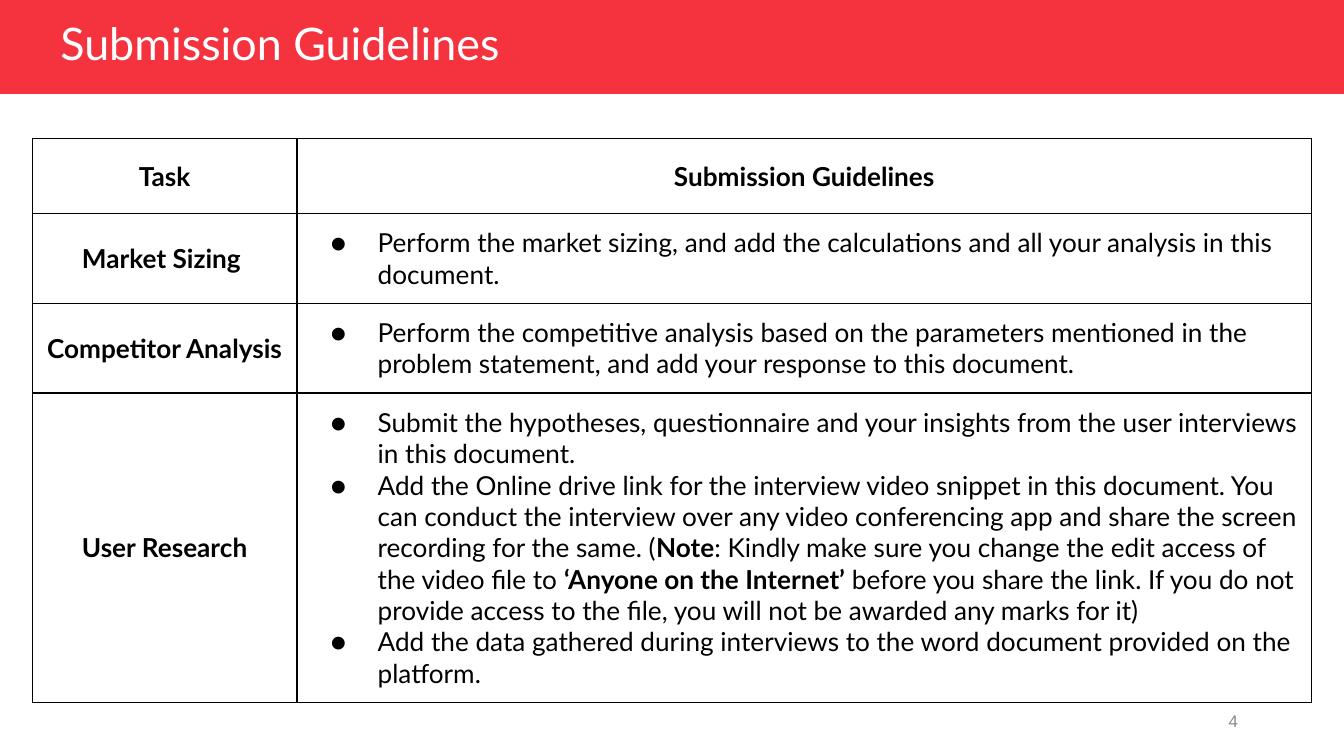
import dataclasses
import typing

import lxml.etree
import pptx
import pptx.dml.color
import pptx.enum.shapes
import pptx.enum.text
import pptx.oxml.ns
import pptx.util

ALIGN = pptx.enum.text.PP_ALIGN
ANCHOR = pptx.enum.text.MSO_ANCHOR
INCH = pptx.util.Inches
qn = pptx.oxml.ns.qn


@dataclasses.dataclass(frozen=True)
class Theme:
    red: str = "F5333F"
    white: str = "FFFFFF"
    black: str = "000000"
    gray: str = "888888"
    font: str = "Lato"
    number_font: str = "Arial"
    title_size: float = 24
    table_size: float = 14
    number_size: float = 9
    border: float = 0.75
    padding: float = 0.1
    indent: float = 0.5
    hanging: float = 0.35


class Box(typing.NamedTuple):
    left: float
    top: float
    width: float
    height: float

    def place(self) -> tuple[int, int, int, int]:
        return (INCH(self.left * WIDTH), INCH(self.top * HEIGHT),
                INCH(self.width * WIDTH), INCH(self.height * HEIGHT))


class Task(typing.NamedTuple):
    name: str
    guidelines: list[str]


THEME = Theme()
WIDTH = 10
HEIGHT = WIDTH * 9 / 16
BOLD = "**"
TASKS = [
    Task("Market Sizing ", [
        "Perform the market sizing, and add the calculations and all your analysis in this document.",
    ]),
    Task("Competitor Analysis", [
        "Perform the competitive analysis based on the parameters mentioned in the problem "
        "statement, and add your response to this document.",
    ]),
    Task("User Research", [
        "Submit the hypotheses, questionnaire and your insights from the user interviews in this document.",
        "Add the Online drive link for the interview video snippet in this document. You can conduct "
        "the interview over any video conferencing app and share the screen recording for the same. "
        "(**Note**: Kindly make sure you change the edit access of the video file to "
        "**‘Anyone on the Internet’** before you share the link. If you do not provide access to the "
        "file, you will not be awarded any marks for it)",
        "Add the data gathered during interviews to the word document provided on the platform.",
    ]),
]
COLUMNS = (1.97, 7.55)
ROW_HEIGHT = 0.56
BAR = Box(0, 0, 1, 0.7 / HEIGHT)
TITLE = Box(0.035, 0.13 / HEIGHT, 0.409, 0.42 / HEIGHT)
NUMBER = Box(0.706, 5.21 / HEIGHT, 0.225, 0.3 / HEIGHT)
TABLE = Box(0.024, 1.03 / HEIGHT, sum(COLUMNS) / WIDTH,
            ROW_HEIGHT * (len(TASKS) + 1) / HEIGHT)


def rgb(color: str) -> pptx.dml.color.RGBColor:
    return pptx.dml.color.RGBColor.from_string(color)


def style(r, size: float, color: str, font: str = THEME.font, bold: bool = False) -> None:
    r.font.size = pptx.util.Pt(size)
    r.font.name = font
    r.font.color.rgb = rgb(color)
    r.font.bold = bold


def add_bar(s) -> None:
    sp = s.shapes.add_shape(pptx.enum.shapes.MSO_SHAPE.RECTANGLE, *BAR.place())
    sp.shadow.inherit = False
    sp.fill.solid()
    sp.fill.fore_color.rgb = rgb(THEME.red)
    sp.line.fill.background()
    sp.element.getparent().insert(2, sp.element)


def add_title(s, text: str) -> None:
    sp = s.shapes.title
    sp.left, sp.top, sp.width, sp.height = TITLE.place()
    tf = sp.text_frame
    tf.text = text
    tf.auto_size = pptx.enum.text.MSO_AUTO_SIZE.NONE
    tf.vertical_anchor = ANCHOR.MIDDLE
    p = tf.paragraphs[0]
    p.alignment = ALIGN.LEFT
    p.line_spacing = 0.9
    style(p.runs[0], THEME.title_size, THEME.white)


def add_number(s, text: str) -> None:
    tf = s.shapes.add_textbox(*NUMBER.place()).text_frame
    tf.word_wrap = True
    tf.text = text
    tf.vertical_anchor = ANCHOR.MIDDLE
    p = tf.paragraphs[0]
    p.alignment = ALIGN.RIGHT
    style(p.runs[0], THEME.number_size, THEME.gray, THEME.number_font)


def add_bullet(p) -> None:
    pPr = p._p.get_or_add_pPr()
    pPr.set("marL", str(INCH(THEME.indent)))
    pPr.set("indent", str(-INCH(THEME.hanging)))
    color = lxml.etree.SubElement(pPr, qn("a:buClr"))
    lxml.etree.SubElement(color, qn("a:srgbClr"), val=THEME.black)
    lxml.etree.SubElement(pPr, qn("a:buSzPts"), val=str(THEME.table_size * 100))
    lxml.etree.SubElement(pPr, qn("a:buFont"), typeface=THEME.font)
    lxml.etree.SubElement(pPr, qn("a:buChar"), char="●")


def format_cell(cell) -> None:
    cell.fill.background()
    cell.vertical_anchor = ANCHOR.MIDDLE
    cell.margin_left = cell.margin_right = INCH(THEME.padding)
    cell.margin_top = cell.margin_bottom = INCH(THEME.padding)
    tcPr = cell._tc.get_or_add_tcPr()
    for i, side in enumerate(("a:lnL", "a:lnR", "a:lnT", "a:lnB")):
        ln = lxml.etree.Element(qn(side), w=str(pptx.util.Pt(THEME.border)))
        fill = lxml.etree.SubElement(ln, qn("a:solidFill"))
        lxml.etree.SubElement(fill, qn("a:srgbClr"), val=THEME.black)
        tcPr.insert(i, ln)


def fill_label(cell, text: str) -> None:
    format_cell(cell)
    cell.text_frame.text = text
    p = cell.text_frame.paragraphs[0]
    p.alignment = ALIGN.CENTER
    style(p.runs[0], THEME.table_size, THEME.black, bold=True)


def fill_list(cell, items: list[str]) -> None:
    format_cell(cell)
    tf = cell.text_frame
    for i, item in enumerate(items):
        p = tf.add_paragraph() if i else tf.paragraphs[0]
        p.alignment = ALIGN.LEFT
        add_bullet(p)
        for j, part in enumerate(item.split(BOLD)):
            r = p.add_run()
            r.text = part
            style(r, THEME.table_size, THEME.black, bold=j % 2 == 1)


def add_tasks(s) -> None:
    table = s.shapes.add_table(len(TASKS) + 1, len(COLUMNS), *TABLE.place()).table
    table.first_row = table.horz_banding = False
    for column, width in zip(table.columns, COLUMNS):
        column.width = INCH(width)
    for c, heading in enumerate(("Task", "Submission Guidelines")):
        fill_label(table.cell(0, c), heading)
    for i, task in enumerate(TASKS, 1):
        fill_label(table.cell(i, 0), task.name)
        fill_list(table.cell(i, 1), task.guidelines)


def main() -> None:
    prs = pptx.Presentation()
    prs.slide_width, prs.slide_height = INCH(WIDTH), INCH(HEIGHT)
    s = prs.slides.add_slide(prs.slide_layouts[5])
    add_bar(s)
    add_number(s, "4")
    add_title(s, "Submission Guidelines")
    add_tasks(s)
    prs.save("out.pptx")


if __name__ == "__main__":
    main()
